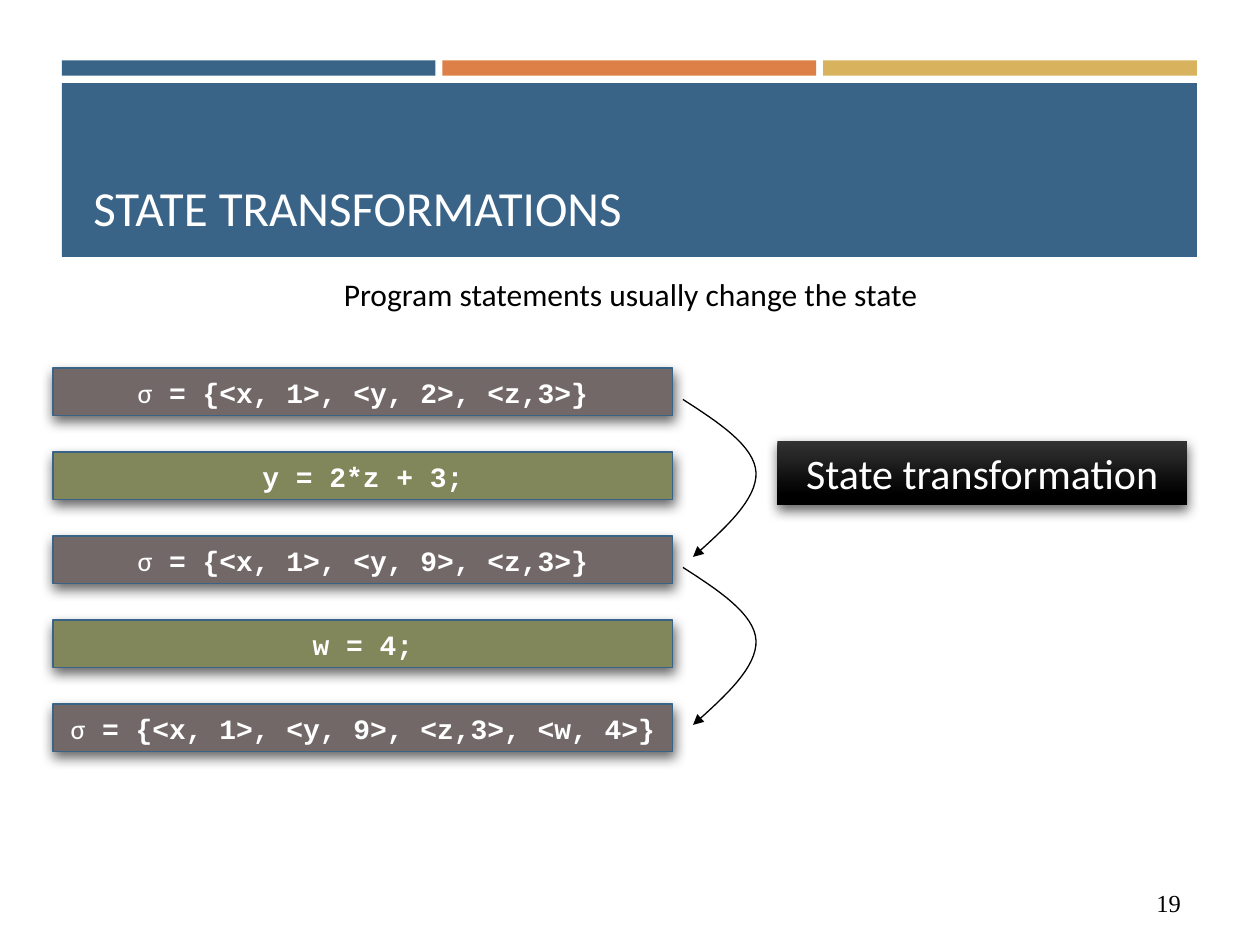
from lxml import etree
from pptx import Presentation
from pptx.dml.color import RGBColor
from pptx.enum.shapes import MSO_SHAPE
from pptx.enum.text import MSO_ANCHOR, PP_ALIGN
from pptx.oxml.ns import qn
from pptx.util import Inches, Pt

RECTANGLE = MSO_SHAPE.RECTANGLE
TOP, MIDDLE, BOTTOM = MSO_ANCHOR.TOP, MSO_ANCHOR.MIDDLE, MSO_ANCHOR.BOTTOM
LEFT, CENTER = PP_ALIGN.LEFT, PP_ALIGN.CENTER
TITLE_ONLY = 5

BLUE, ORANGE, GOLD = "396487", "DD8047", "D8B25C"
STATE_FILL, STATEMENT_FILL = "726868", "81875A"
WHITE, BLACK = "FFFFFF", "000000"

STEPS = [
    ("σ", " = {<x, 1>, <y, 2>, <z,3>}"),
    ("", "y = 2*z + 3;"),
    ("σ", " = {<x, 1>, <y, 9>, <z,3>}"),
    ("", "w = 4;"),
    ("σ", " = {<x, 1>, <y, 9>, <z,3>, <w, 4>}"),
]
STEP_PITCH = 2 / 3
CURVES = [
    [(0, 0), (0.28, 0.18), (0.57, 0.37), (0.58, 0.58)],
    [(0.58, 0.58), (0.59, 0.79), (0.34, 1.02), (0.08, 1.25)],
]
CURVE_STEPS = 16


def rgb(value):
    return RGBColor.from_string(value)


def format_run(run, size, color, font="Calibri", bold=False):
    run.font.size = Pt(size)
    run.font.name = font
    run.font.bold = bold
    run.font.color.rgb = rgb(color)


def format_frame(frame, anchor, alignment):
    frame.word_wrap = True
    frame.vertical_anchor = anchor
    frame.paragraphs[0].alignment = alignment


def add_box(slide, left, top, width, height, fill):
    shape = slide.shapes.add_shape(
        RECTANGLE, Inches(left), Inches(top), Inches(width), Inches(height))
    shape.shadow.inherit = False
    shape.fill.solid()
    shape.fill.fore_color.rgb = rgb(fill)
    shape.line.fill.background()
    return shape


def add_label(slide, left, top, width, height, text, size, font, anchor, alignment):
    box = slide.shapes.add_textbox(
        Inches(left), Inches(top), Inches(width), Inches(height))
    frame = box.text_frame
    frame.text = text
    format_frame(frame, anchor, alignment)
    format_run(frame.paragraphs[0].runs[0], size, BLACK, font)


def add_shadow(shape):
    effects = shape.element.spPr.find(qn("a:effectLst"))
    shadow = etree.SubElement(
        effects, qn("a:outerShdw"), blurRad=str(Pt(7)), dist=str(Pt(3)),
        dir=str(84 * 60000), rotWithShape="0")
    color = etree.SubElement(shadow, qn("a:srgbClr"), val=BLACK)
    etree.SubElement(color, qn("a:alpha"), val="60000")


def add_header(slide, left, top, width, title_text):
    gap, stripe_height = 0.055, 0.12
    stripe_width = (width - 2 * gap) / 3
    for index, color in enumerate((BLUE, ORANGE, GOLD)):
        add_box(slide, left + index * (stripe_width + gap), top,
                stripe_width, stripe_height, color)
    add_box(slide, left, top + 0.18, width, 1.38, BLUE)

    title = slide.shapes.title
    title.element.getparent().append(title.element)
    title.left, title.top = Inches(left + 0.15), Inches(top + 0.27)
    title.width, title.height = Inches(8.74), Inches(1.18)
    title.text_frame.text = title_text
    format_frame(title.text_frame, BOTTOM, LEFT)
    format_run(title.text_frame.paragraphs[0].runs[0], 28, WHITE)


def add_step(slide, left, top, width, height, symbol, code):
    box = add_box(slide, left, top, width, height,
                  STATE_FILL if symbol else STATEMENT_FILL)
    box.line.color.rgb = rgb(BLUE)
    box.line.width = Pt(0.75)
    add_shadow(box)
    format_frame(box.text_frame, MIDDLE, CENTER)
    paragraph = box.text_frame.paragraphs[0]
    if symbol:
        run = paragraph.add_run()
        run.text = symbol
        format_run(run, 16, WHITE)
    run = paragraph.add_run()
    run.text = code
    format_run(run, 16, WHITE, "Courier New", True)


def bezier_point(points, t):
    weights = ((1 - t) ** 3, 3 * t * (1 - t) ** 2, 3 * t ** 2 * (1 - t), t ** 3)
    return tuple(sum(weight * point[axis] for weight, point in zip(weights, points))
                 for axis in (0, 1))


def add_curved_arrow(slide, left, top):
    vertices = [
        (Inches(left + x), Inches(top + y))
        for curve in CURVES
        for x, y in (bezier_point(curve, step / CURVE_STEPS)
                     for step in range(1, CURVE_STEPS + 1))
    ]
    builder = slide.shapes.build_freeform(Inches(left), Inches(top))
    builder.add_line_segments(vertices, close=False)
    arrow = builder.convert_to_shape()
    arrow.shadow.inherit = False
    arrow.fill.background()
    arrow.line.color.rgb = rgb(BLACK)
    arrow.line.width = Pt(0.75)
    etree.SubElement(arrow.element.spPr.find(qn("a:ln")), qn("a:tailEnd"),
                     type="triangle")


def add_callout(slide, left, top, width, height, text):
    box = add_box(slide, left, top, width, height, BLACK)
    box.fill.gradient()
    box.fill.gradient_angle = 270
    for stop, position, color in zip(
            box.fill.gradient_stops, (0, 0.84), ("333333", BLACK)):
        stop.position = position
        stop.color.rgb = rgb(color)
    add_shadow(box)
    box.text_frame.text = text
    format_frame(box.text_frame, MIDDLE, CENTER)
    format_run(box.text_frame.paragraphs[0].runs[0], 24, WHITE)


def main():
    presentation = Presentation()
    presentation.slide_width, presentation.slide_height = Inches(10), Inches(7.5)
    slide = presentation.slides.add_slide(presentation.slide_layouts[TITLE_ONLY])

    add_header(slide, 0.49, 0.48, 9.01, "STATE TRANSFORMATIONS")
    add_label(slide, 0.42, 2, 9.17, 0.67, "Program statements usually change the state",
              18, "Calibri", MIDDLE, CENTER)
    for index, (symbol, code) in enumerate(STEPS):
        add_step(slide, 0.42, 2.92 + index * STEP_PITCH, 4.92, 0.38, symbol, code)
    for index in range(2):
        add_curved_arrow(slide, 5.42, 3.17 + 2 * index * STEP_PITCH)
    add_callout(slide, 6.17, 3.5, 3.25, 0.51, "State transformation")
    add_label(slide, 9.08, 7, 0.67, 0.33, "19", 14, "Times New Roman", TOP, LEFT)

    presentation.save("out.pptx")


if __name__ == "__main__":
    main()
